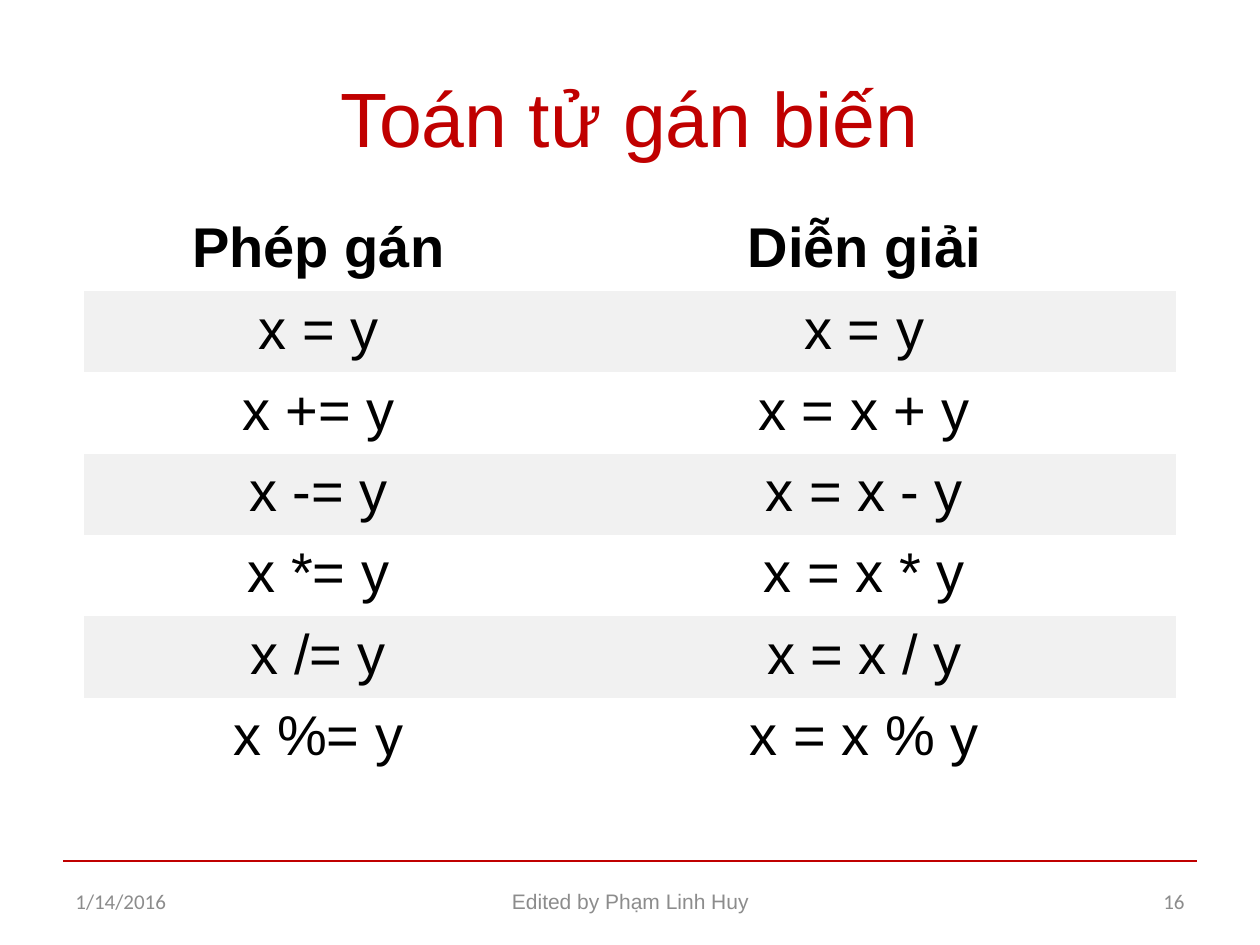
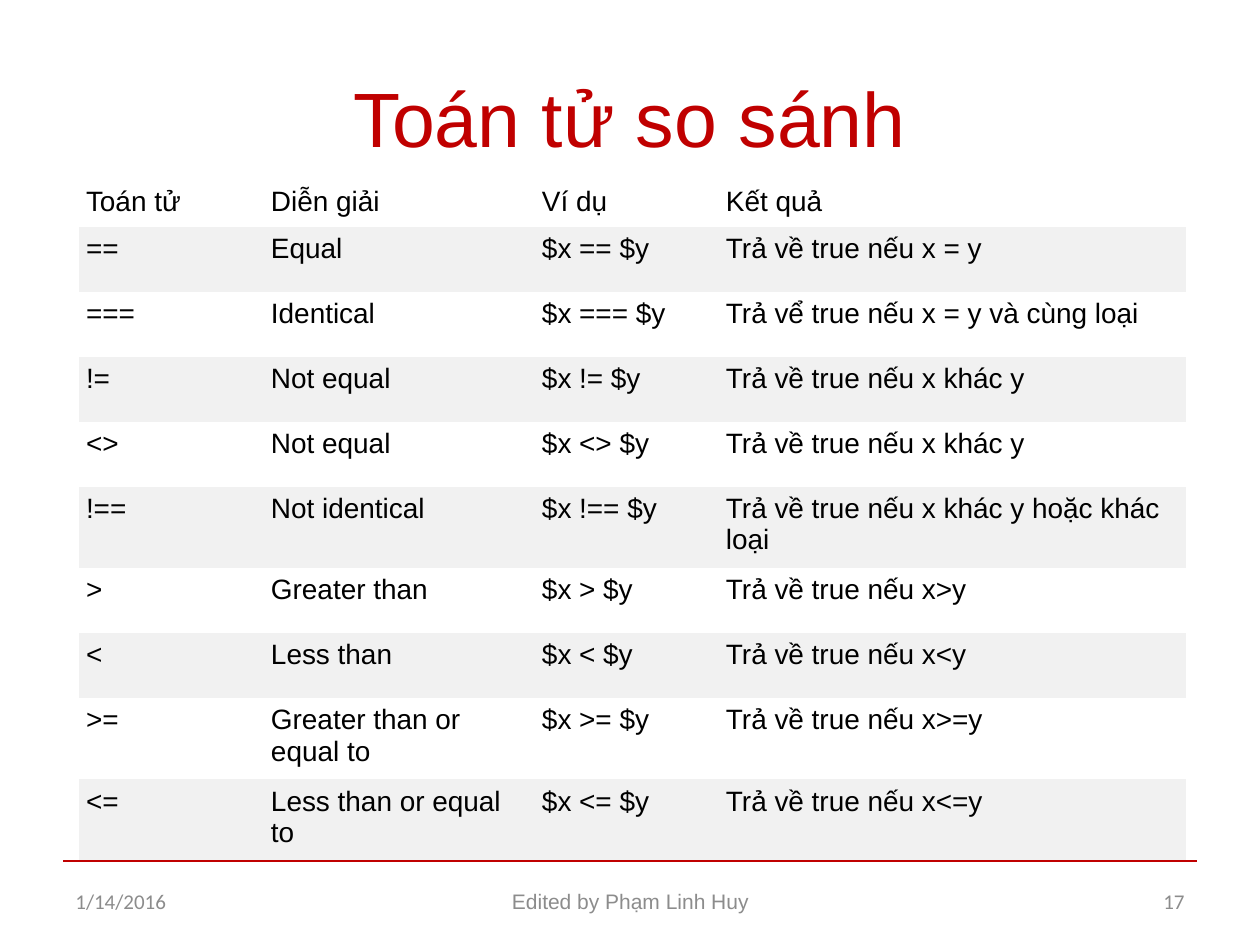
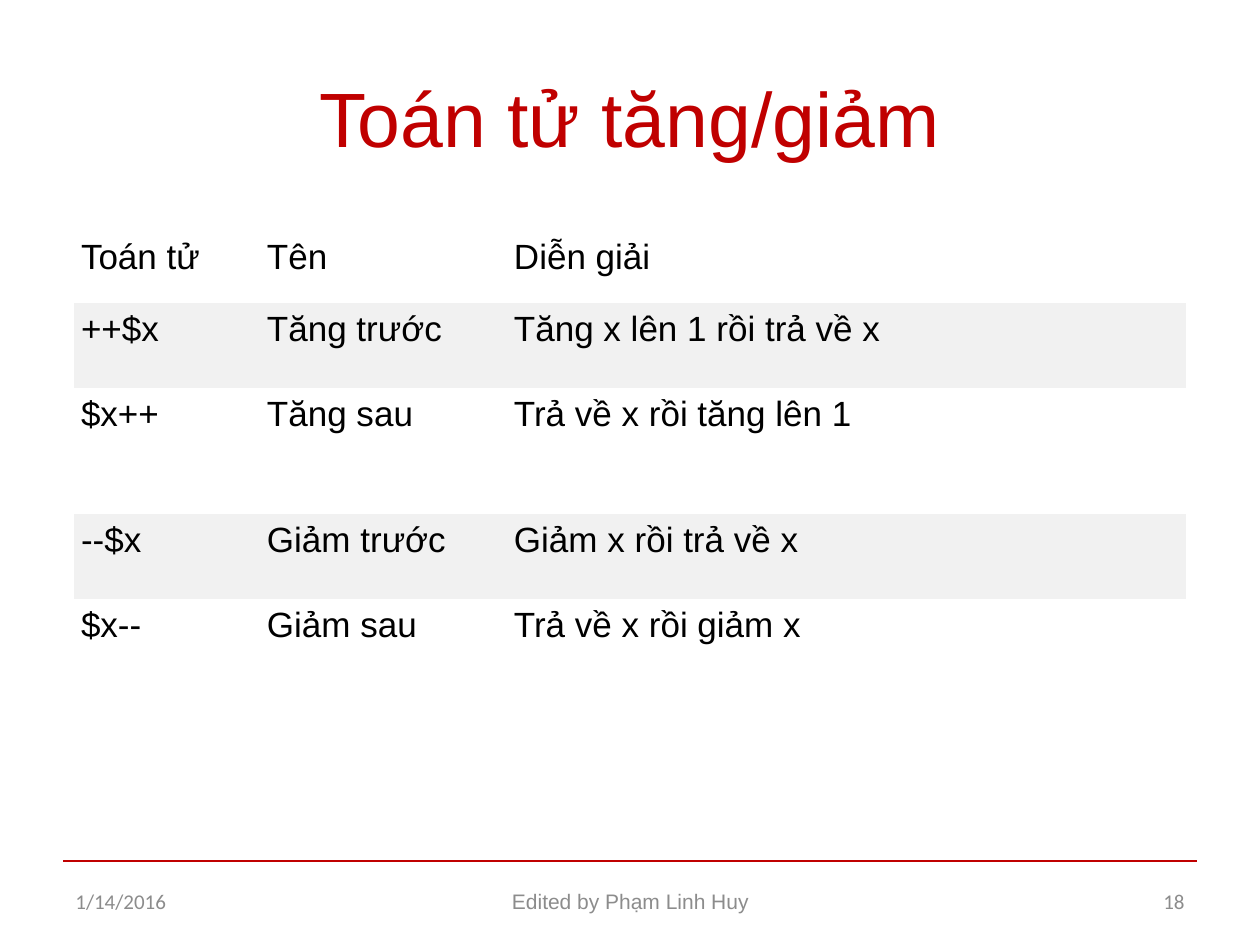
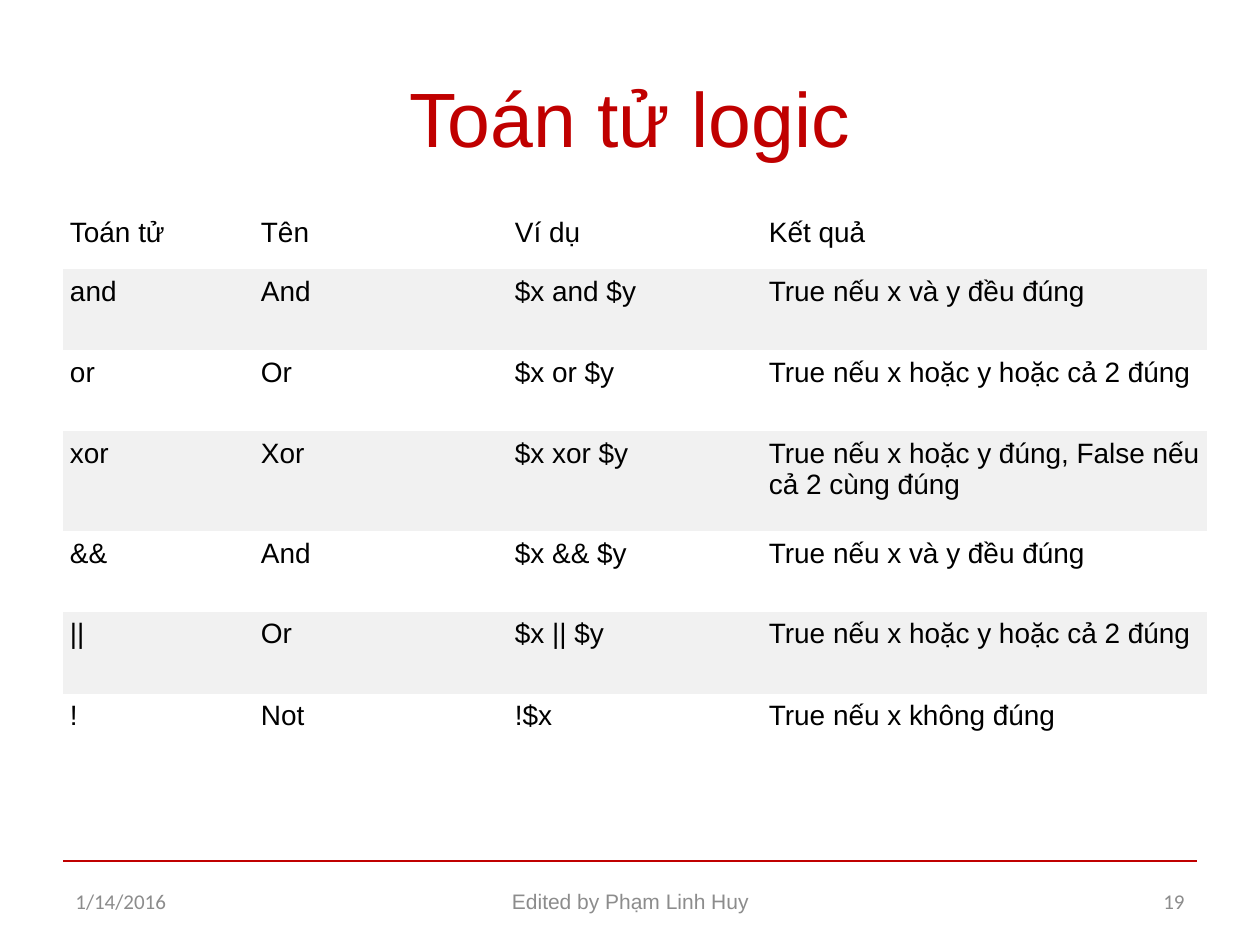
from pptx import Presentation, util as u
from pptx.dml.color import RGBColor
from pptx.enum import shapes, text
from pptx.oxml import ns, xmlchemy

PX = u.Inches(1) / 126

RED = RGBColor(0xC0, 0x00, 0x00)
BLACK = RGBColor(0x00, 0x00, 0x00)
GREY = RGBColor(0x8C, 0x8C, 0x8C)
BANDS = (RGBColor(0xFF, 0xFF, 0xFF), RGBColor(0xF1, 0xF1, 0xF1))

BODY_FONT = "Arial"
FOOTER_FONT = "Calibri"
PLAIN_STYLE = "{2D5ABB26-0587-4C30-8999-92F81FD0307C}"
LEFT, CENTER, RIGHT = text.PP_ALIGN.LEFT, text.PP_ALIGN.CENTER, text.PP_ALIGN.RIGHT

SLIDE_WIDTH, SLIDE_HEIGHT = 1260, 945
MARGIN = 63
RULE_TOP = 861
FOOTER_TOP, FOOTER_HEIGHT = 876, 50
CELL_INSET = 7

ASSIGNMENT = [
    ("Phép gán", "Diễn giải"),
    ("x = y", "x = y"),
    ("x += y", "x = x + y"),
    ("x -= y", "x = x - y"),
    ("x *= y", "x = x * y"),
    ("x /= y", "x = x / y"),
    ("x %= y", "x = x % y"),
]
COMPARISON = [
    ("Toán tử", "Diễn giải", "Ví dụ", "Kết quả"),
    ("==", "Equal", "$x == $y", "Trả về true nếu x = y"),
    ("===", "Identical", "$x === $y", "Trả vể true nếu x = y và cùng loại"),
    ("!=", "Not equal", "$x != $y", "Trả về true nếu x khác y"),
    ("<>", "Not equal", "$x <> $y", "Trả về true nếu x khác y"),
    ("!==", "Not identical", "$x !== $y", "Trả về true nếu x khác y hoặc khác loại"),
    (">", "Greater than", "$x > $y", "Trả về true nếu x>y"),
    ("<", "Less than", "$x < $y", "Trả về true nếu x<y"),
    (">=", "Greater than or equal to", "$x >= $y", "Trả về true nếu x>=y"),
    ("<=", "Less than or equal to", "$x <= $y", "Trả về true nếu x<=y"),
]
INCREMENT = [
    ("Toán tử", "Tên", "Diễn giải"),
    ("++$x", "Tăng trước", "Tăng x lên 1 rồi trả về x"),
    ("$x++", "Tăng sau", "Trả về x rồi tăng lên 1"),
    ("--$x", "Giảm trước", "Giảm x rồi trả về x"),
    ("$x--", "Giảm sau", "Trả về x rồi giảm x"),
]
LOGIC = [
    ("Toán tử", "Tên", "Ví dụ", "Kết quả"),
    ("and", "And", "$x and $y", "True nếu x và y đều đúng"),
    ("or", "Or", "$x or $y", "True nếu x hoặc y hoặc cả 2 đúng"),
    ("xor", "Xor", "$x xor $y", "True nếu x hoặc y đúng, False nếu cả 2 cùng đúng"),
    ("&&", "And", "$x && $y", "True nếu x và y đều đúng"),
    ("||", "Or", "$x || $y", "True nếu x hoặc y hoặc cả 2 đúng"),
    ("!", "Not", "!$x", "True nếu x không đúng"),
]


def px(length):
    return u.Emu(round(length * PX))


def write(frame, words, size, color, align=LEFT, font=BODY_FONT, bold=False):
    line = frame.paragraphs[0]
    line.alignment = align
    run = line.add_run()
    run.text = words
    run.font.size = u.Pt(size)
    run.font.name = font
    run.font.bold = bold
    run.font.color.rgb = color


def add_label(slide, box, words, size, color, align=LEFT, font=BODY_FONT):
    frame = slide.shapes.add_textbox(*map(px, box)).text_frame
    frame.word_wrap = True
    frame.vertical_anchor = text.MSO_ANCHOR.MIDDLE
    write(frame, words, size, color, align, font)


def add_footer_rule(slide):
    rule = slide.shapes.add_connector(
        shapes.MSO_CONNECTOR.STRAIGHT,
        px(MARGIN), px(RULE_TOP), px(SLIDE_WIDTH - MARGIN), px(RULE_TOP))
    rule.line.color.rgb = RED
    rule.line.width = u.Pt(0.75)
    rule.element.spPr.append(xmlchemy.OxmlElement("a:effectLst"))


def add_footer(slide, number):
    for left, width, words, align, font in (
        (MARGIN, 294, "1/14/2016", LEFT, FOOTER_FONT),
        (431, 399, "Edited by Phạm Linh Huy", CENTER, BODY_FONT),
        (903, 294, str(number), RIGHT, FOOTER_FONT),
    ):
        add_label(slide, (left, FOOTER_TOP, width, FOOTER_HEIGHT),
                  words, 12, GREY, align, font)


def add_operator_slide(deck, number, title):
    slide = deck.slides.add_slide(deck.slide_layouts[6])
    add_footer_rule(slide)
    add_label(slide, (MARGIN, 38, SLIDE_WIDTH - 2 * MARGIN, 157),
              title, 44, RED, CENTER)
    add_footer(slide, number)
    return slide


def add_operator_table(slide, left, top, widths, heights, entries, size,
                       align=LEFT, bold_header=False):
    holder = slide.shapes.add_table(
        len(heights), len(widths), px(left), px(top),
        px(sum(widths)), px(sum(heights)))
    holder.element.find(".//" + ns.qn("a:tableStyleId")).text = PLAIN_STYLE
    operators = holder.table
    operators.horz_banding = False
    for column, width in zip(operators.columns, widths):
        column.width = px(width)
    for index, (row, height, words) in enumerate(
            zip(operators.rows, heights, entries)):
        row.height = px(height)
        for cell, entry in zip(row.cells, words):
            cell.margin_left = cell.margin_right = px(CELL_INSET)
            cell.margin_top = cell.margin_bottom = px(CELL_INSET)
            cell.fill.solid()
            cell.fill.fore_color.rgb = BANDS[index % 2]
            write(cell.text_frame, entry, size, BLACK, align,
                  bold=bold_header and index == 0)


def main():
    deck = Presentation()
    deck.slide_width, deck.slide_height = px(SLIDE_WIDTH), px(SLIDE_HEIGHT)

    assignment = add_operator_slide(deck, 16, "Toán tử gán biến")
    add_operator_table(assignment, 84, 210, (469, 623), [40] + [67] * 6,
                       ASSIGNMENT, 32, CENTER, bold_header=True)

    comparison = add_operator_slide(deck, 17, "Toán tử so sánh")
    add_operator_table(comparison, 79, 179, (185, 271, 184, 467),
                       [39] + [65] * 9, COMPARISON, 16)

    increment = add_operator_slide(deck, 18, "Toán tử tăng/giảm")
    add_operator_table(increment, 74, 231, (186, 247, 679),
                       (72, 85, 126, 85, 126), INCREMENT, 20)

    logic = add_operator_slide(deck, 19, "Toán tử logic")
    add_operator_table(logic, MARGIN, 210, (191, 254, 254, 445),
                       (59, 81, 81, 100, 81, 82, 82), LOGIC, 16)

    deck.save("out.pptx")


if __name__ == "__main__":
    main()
